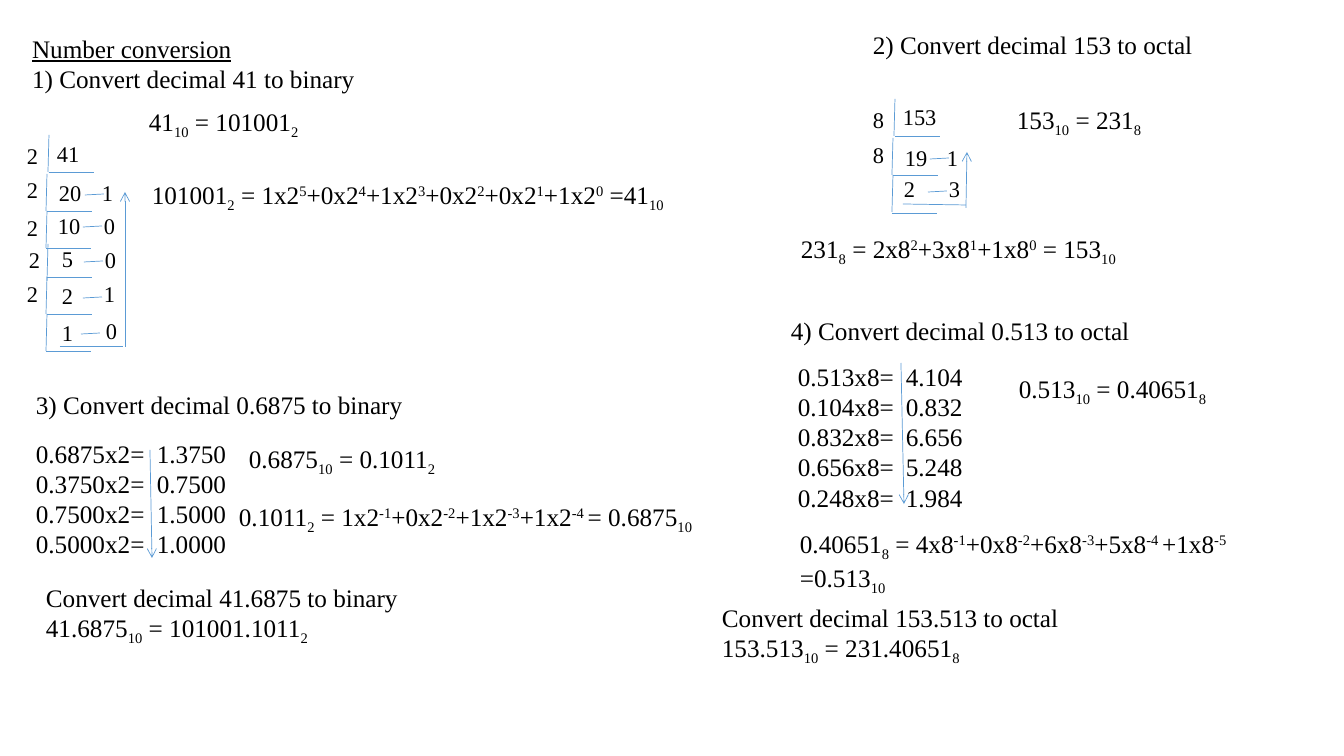
from lxml import etree
from pptx import Presentation
from pptx import util as u
from pptx.dml.color import RGBColor
from pptx.enum import shapes, text
from pptx.oxml import ns

COLORS = {"ink": "000000", "rule": "5B9BD5"}
BASELINES = {"_": "-25000", "^": "30000"}


def px(length):
    return u.Emu(round(length * 914400 / 100.8))


class Board:
    font = "Times New Roman"
    body = 18
    digit = 16

    def __init__(self, deck):
        self.page = deck.slides.add_slide(deck.slide_layouts[5])

    def fill_box(self, box, x, y, width, lines, size, rows=None):
        rows = rows or len(lines)
        box.left, box.top, box.width = px(x), px(y), px(width)
        box.height = px(37 if size == self.digit else 9 + 31 * rows)
        frame = box.text_frame
        frame.word_wrap = True
        frame.auto_size = text.MSO_AUTO_SIZE.SHAPE_TO_FIT_TEXT
        frame.vertical_anchor = text.MSO_ANCHOR.TOP
        for index, line in enumerate(lines):
            para = frame.add_paragraph() if index else frame.paragraphs[0]
            para.alignment = text.PP_ALIGN.LEFT
            for piece in line.split("|"):
                span = para.add_run()
                span.text = piece.lstrip("_^")
                span.font.name = self.font
                span.font.size = u.Pt(size)
                span.font.color.rgb = RGBColor.from_string(COLORS["ink"])
                if piece[0] in BASELINES:
                    span._r.get_or_add_rPr().set("baseline", BASELINES[piece[0]])
        return frame

    def title(self, x, y, width, *lines):
        frame = self.fill_box(self.page.shapes.title, x, y, width, lines, self.body)
        frame.paragraphs[0].runs[0].font.underline = True

    def label(self, x, y, width, *lines, size=body, rows=None):
        box = self.page.shapes.add_textbox(0, 0, 0, 0)
        return self.fill_box(box, x, y, width, lines, size, rows)

    def products(self, x, y, width, tab, *lines):
        for para in self.label(x, y, width, *lines).paragraphs:
            stops = etree.SubElement(para._p.get_or_add_pPr(), ns.qn("a:tabLst"))
            etree.SubElement(stops, ns.qn("a:tab"), pos=str(px(tab)), algn="l")

    def line(self, x1, y1, x2, y2, arrow=False):
        rule = self.page.shapes.add_connector(
            shapes.MSO_CONNECTOR.STRAIGHT, px(x1), px(y1), px(x2), px(y2))
        rule.line.color.rgb = RGBColor.from_string(COLORS["rule"])
        rule.line.width = u.Pt(0.5)
        properties = rule._element.spPr
        if arrow:
            etree.SubElement(properties.find(ns.qn("a:ln")), ns.qn("a:tailEnd"), type="arrow")
        etree.SubElement(properties, ns.qn("a:effectLst"))

    def division(self, digits, sides, floors, dashes):
        for value, x, y in digits:
            self.label(x, y, 54 if len(value) > 2 else 47, value, size=self.digit)
        for x, y in sides:
            self.line(x, y, x - 1, y + 37)
        for x, y in floors:
            self.line(x, y, x + 45, y)
        for x, y in dashes:
            self.line(x, y, x + 19, y - 1)


def draw_binary(board):
    board.title(22, 28, 360, "Number conversion", "1) Convert decimal 41 to binary")
    board.division(
        digits=[
            ("41", 47, 135), ("20", 49, 174), ("10", 48, 207),
            ("5", 52, 240), ("2", 52, 277), ("1", 52, 314),
            ("1", 92, 174), ("0", 94, 207), ("0", 95, 241),
            ("1", 94, 275), ("0", 96, 312),
            ("2", 17, 137), ("2", 17, 171), ("2", 17, 209),
            ("2", 19, 241), ("2", 17, 275),
        ],
        sides=[(49, 135), (47, 174), (47, 211), (48, 244), (47, 277), (47, 314)],
        floors=[(49, 172), (47, 211), (46, 248), (47, 277), (47, 314), (46, 351)],
        dashes=[(85, 195), (83, 227), (84, 262), (83, 298), (81, 334)],
    )
    board.line(60, 346, 123, 346)
    board.line(125, 347, 125, 192, arrow=True)
    board.label(139, 101, 180, "41|_10| = 101001|_2")
    board.label(142, 174, 554, "101001|_2| = 1x2|^5|+0x2|^4|+1x2|^3|+0x2|^2|+0x2|^1|+1x2|^0| =41|_10")


def draw_octal(board):
    board.label(863, 24, 354, "2) Convert decimal 153 to octal")
    board.division(
        digits=[
            ("153", 893, 98), ("19", 895, 139), ("2", 894, 170),
            ("1", 937, 139), ("3", 939, 170),
            ("8", 863, 101), ("8", 863, 136),
        ],
        sides=[(895, 99), (893, 138), (893, 175)],
        floors=[(895, 136), (893, 175), (892, 213)],
        dashes=[(930, 159), (928, 192)],
    )
    board.line(903, 204, 966, 205)
    board.line(966, 208, 967, 152, arrow=True)
    board.label(1007, 99, 180, "153|_10| = 231|_8")
    board.label(791, 228, 371, "231|_8| = 2x8|^2|+3x8|^1|+1x8|^0| = 153|_10")


def draw_binary_fraction(board):
    board.label(26, 384, 405, "3) Convert decimal 0.6875 to binary")
    board.products(26, 433, 212, 121, "0.6875x2=\t1.3750", "0.3750x2=\t0.7500",
                   "0.7500x2=\t1.5000", "0.5000x2=\t1.0000")
    board.line(150, 450, 152, 558, arrow=True)
    board.label(239, 438, 215, "0.6875|_10| = 0.1011|_2")
    board.label(229, 496, 495, "0.1011|_2| = 1x2|^-1|+0x2|^-2|+1x2|^-3|+1x2|^-4 |= 0.6875|_10")
    board.label(36, 577, 405, "Convert decimal 41.6875 to binary",
                "41.6875|_10| = 101001.1011|_2")


def draw_octal_fraction(board):
    board.label(781, 310, 405, "4) Convert decimal 0.513 to octal")
    board.products(788, 356, 200, 108, "0.513x8=\t4.104", "0.104x8=\t0.832",
                   "0.832x8=\t6.656", "0.656x8=\t5.248", "0.248x8=\t1.984")
    board.line(901, 363, 904, 504, arrow=True)
    board.label(1009, 368, 215, "0.513|_10| = 0.40651|_8")
    board.label(790, 523, 495,
                "0.40651|_8| = 4x8|^-1|+0x8|^-2|+6x8|^-3|+5x8|^-4 |+1x8|^-5| =0.513|_10",
                rows=2)
    board.label(712, 597, 483, "Convert decimal 153.513 to octal",
                "153.513|_10| = 231.40651|_8")


def main():
    deck = Presentation()
    deck.slide_width, deck.slide_height = px(1344), px(756)
    board = Board(deck)
    draw_binary(board)
    draw_octal(board)
    draw_binary_fraction(board)
    draw_octal_fraction(board)
    deck.save("out.pptx")


if __name__ == "__main__":
    main()
